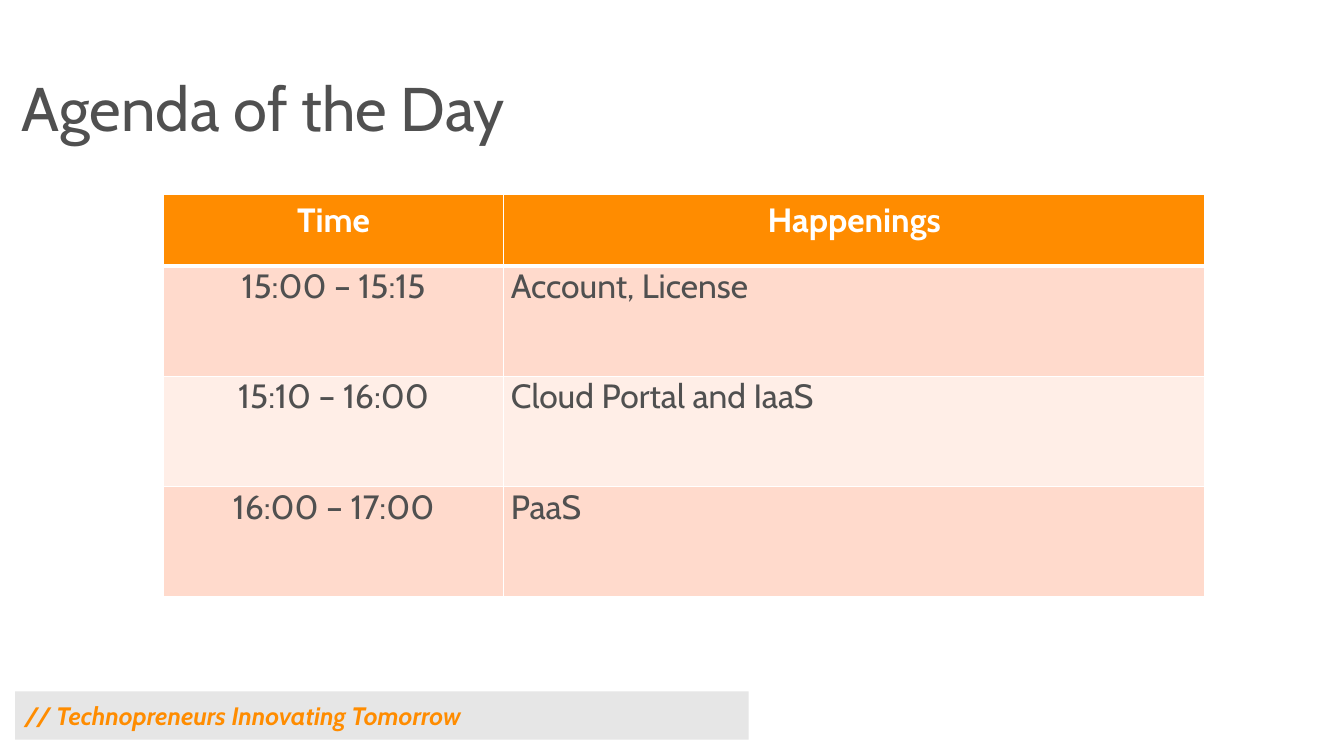
import pptx
import pptx.dml.color
import pptx.enum.shapes
import pptx.enum.text
import pptx.oxml
import pptx.oxml.ns
import pptx.util

Cm = pptx.util.Cm
Pt = pptx.util.Pt
RGBColor = pptx.dml.color.RGBColor
Align = pptx.enum.text.PP_ALIGN
Anchor = pptx.enum.text.MSO_ANCHOR

FONT = "Cabin"
GREY = RGBColor(0x50, 0x50, 0x50)
ORANGE = RGBColor(0xFF, 0x8C, 0x00)
WHITE = RGBColor(0xFF, 0xFF, 0xFF)
BAR_GREY = RGBColor(0xE6, 0xE6, 0xE6)
BANDS = (RGBColor(0xFF, 0xDA, 0xCC), RGBColor(0xFF, 0xEE, 0xE7))

AGENDA = [
    ("Time", "Happenings"),
    ("15:00 – 15:15", "Account, License"),
    ("15:10 – 16:00", "Cloud Portal and IaaS"),
    ("16:00 – 17:00", "PaaS"),
]
TIME_SHARE = 0.326
HEADER_HEIGHT = Cm(1.8)


def write(text_frame, text, size, color, bold=False, italic=False, align=Align.LEFT):
    paragraph = text_frame.paragraphs[0]
    paragraph.alignment = align
    run = paragraph.add_run()
    run.text = text
    run.font.name = FONT
    run.font.size = Pt(size)
    run.font.bold = bold
    run.font.italic = italic
    run.font.color.rgb = color
    return paragraph


def add_title(slide, left, top, width, height):
    text_frame = slide.shapes.add_textbox(left, top, width, height).text_frame
    text_frame.word_wrap = True
    paragraph = write(text_frame, "Agenda of the Day", 44, GREY)
    paragraph.line_spacing = 0.9


def add_slogan_bar(slide, left, top, width, height):
    rectangle = pptx.enum.shapes.MSO_SHAPE.RECTANGLE
    bar = slide.shapes.add_shape(rectangle, left, top, width, height)
    bar.shadow.inherit = False
    bar.fill.solid()
    bar.fill.fore_color.rgb = BAR_GREY
    bar.line.fill.background()
    bar.text_frame.word_wrap = True
    bar.text_frame.vertical_anchor = Anchor.MIDDLE
    write(bar.text_frame, "// Technopreneurs Innovating Tomorrow", 18, ORANGE, True, True)


def add_borders(cell, top, bottom):
    properties = cell._tc.get_or_add_tcPr()
    for side, points in (("L", 1), ("R", 1), ("T", top), ("B", bottom)):
        properties.append(pptx.oxml.parse_xml(
            f'<a:ln{side} {pptx.oxml.ns.nsdecls("a")} w="{Pt(points)}">'
            f'<a:solidFill><a:srgbClr val="{WHITE}"/></a:solidFill></a:ln{side}>'))


def add_agenda(slide, left, top, width, height):
    frame = slide.shapes.add_table(len(AGENDA), 2, left, top, width, height)
    table = frame.table
    table.columns[0].width = int(width * TIME_SHARE)
    table.columns[1].width = width - table.columns[0].width
    for row_index, entries in enumerate(AGENDA):
        header = row_index == 0
        body_height = (height - HEADER_HEIGHT) // (len(AGENDA) - 1)
        table.rows[row_index].height = HEADER_HEIGHT if header else body_height
        for column_index, text in enumerate(entries):
            cell = table.cell(row_index, column_index)
            add_borders(cell, 3 if row_index == 1 else 1, 3 if header else 1)
            cell.fill.solid()
            cell.fill.fore_color.rgb = ORANGE if header else BANDS[(row_index - 1) % 2]
            if not header:
                cell.margin_left = cell.margin_right = Cm(0.19)
                cell.margin_top = cell.margin_bottom = 0
            centred = header or column_index == 0
            write(cell.text_frame, text, 24, WHITE if header else GREY, bold=header,
                  align=Align.CENTER if centred else Align.LEFT)


def main():
    presentation = pptx.Presentation()
    presentation.slide_width = Cm(33.87)
    presentation.slide_height = Cm(19.05)
    slide = presentation.slides.add_slide(presentation.slide_layouts[6])
    add_title(slide, Cm(0.3), Cm(1.85), Cm(19.1), Cm(2.34))
    add_slogan_bar(slide, Cm(0.38), Cm(17.42), Cm(18.49), Cm(1.22))
    add_agenda(slide, Cm(4.13), Cm(4.91), Cm(26.24), Cm(10.13))
    presentation.save("out.pptx")


if __name__ == "__main__":
    main()
